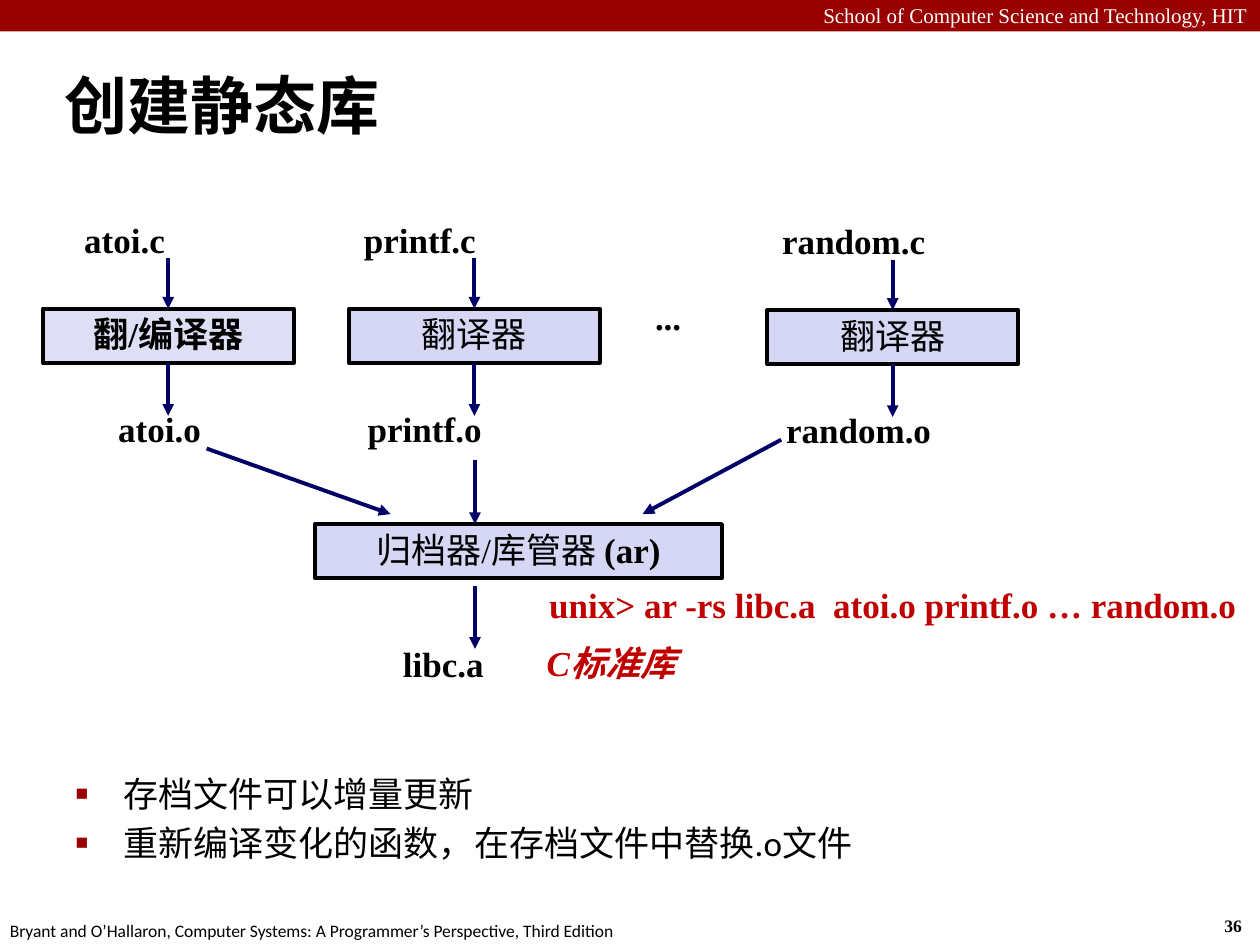
import pptx
import pptx.util
import pptx.dml.color
import pptx.enum.shapes
import pptx.enum.text
import pptx.oxml.ns
import lxml.etree

Inches = pptx.util.Inches
Pt = pptx.util.Pt
RGBColor = pptx.dml.color.RGBColor
Align = pptx.enum.text.PP_ALIGN
Anchor = pptx.enum.text.MSO_ANCHOR
AutoSize = pptx.enum.text.MSO_AUTO_SIZE
RECTANGLE = pptx.enum.shapes.MSO_SHAPE.RECTANGLE
STRAIGHT = pptx.enum.shapes.MSO_CONNECTOR.STRAIGHT
qn = pptx.oxml.ns.qn

BLACK = RGBColor(0x00, 0x00, 0x00)
WHITE = RGBColor(0xFF, 0xFF, 0xFF)
BANNER_RED = RGBColor(0x99, 0x00, 0x00)
COMMAND_RED = RGBColor(0xC0, 0x00, 0x00)
ARROW_NAVY = RGBColor(0x00, 0x00, 0x66)
LAVENDER = RGBColor(0xD6, 0xD6, 0xF5)
PALE_LAVENDER = RGBColor(0xDE, 0xDF, 0xF5)
SERIF = "Times New Roman"

deck = pptx.Presentation()
deck.slide_width = Inches(10)
deck.slide_height = Inches(7.5)
page = deck.slides.add_slide(deck.slide_layouts[1])


def add_box(place, runs, size=20, color=BLACK, font=SERIF, fill=None, wrap=False,
            align=Align.LEFT, spacing=0.94, italic=False):
    lengths = [Inches(value) for value in place]
    if fill is None:
        box = page.shapes.add_textbox(*lengths)
    else:
        box = page.shapes.add_shape(RECTANGLE, *lengths)
        box.shadow.inherit = False
        box.fill.solid()
        box.fill.fore_color.rgb = fill
        box.line.color.rgb = BLACK
        box.line.width = Pt(2.25)
    frame = box.text_frame
    frame.word_wrap = wrap
    frame.auto_size = AutoSize.NONE if wrap else AutoSize.SHAPE_TO_FIT_TEXT
    frame.vertical_anchor = Anchor.TOP
    para = frame.paragraphs[0]
    para.alignment = align
    para.line_spacing = spacing
    for text, bold in runs:
        span = para.add_run()
        span.text = text
        span.font.name = font
        span.font.size = Pt(size)
        span.font.bold = bold
        span.font.italic = italic
        span.font.color.rgb = color
    return box


def add_arrow(start, end, start_box=None, end_box=None):
    arrow = page.shapes.add_connector(STRAIGHT, *[Inches(value) for value in start + end])
    if start_box is not None:
        arrow.begin_connect(start_box, 2)
    if end_box is not None:
        arrow.end_connect(end_box, 0)
    arrow.line.color.rgb = ARROW_NAVY
    arrow.line.width = Pt(2.25)
    outline = arrow.line._get_or_add_ln()
    lxml.etree.SubElement(outline, qn("a:tailEnd"), type="triangle")
    lxml.etree.SubElement(arrow._element.spPr, qn("a:effectLst"))


banner = page.shapes.add_shape(RECTANGLE, 0, 0, Inches(10), Inches(0.25))
banner.shadow.inherit = False
banner.fill.solid()
banner.fill.fore_color.rgb = BANNER_RED
banner.line.fill.background()

add_box((0, -0.03, 10, 0.3), [("School of Computer Science and Technology, HIT", False)],
        size=12, color=WHITE, wrap=True, align=Align.RIGHT, spacing=1.0)
add_box((9.62, 7.21, 0.37, 0.27), [("36", True)], size=10, spacing=1.0)
add_box((-0.02, 7.25, 5.08, 0.27),
        [("Bryant and O’Hallaron, Computer Systems: A Programmer’s Perspective, Third Edition", False)],
        size=10, font="Calibri", spacing=1.0)

title = page.shapes.title
title.left, title.top, title.width, title.height = [Inches(v) for v in (0.41, 0.41, 9.51, 0.83)]
title.text_frame.vertical_anchor = Anchor.MIDDLE
title.text_frame.auto_size = AutoSize.NONE
para = title.text_frame.paragraphs[0]
para.alignment = Align.LEFT
margins = para._p.get_or_add_pPr()
margins.set("marL", str(Inches(0.13)))
margins.set("indent", str(Inches(-0.13)))
span = para.add_run()
span.text = "创建静态库"
span.font.name = "Calibri"
span.font.size = Pt(36)
span.font.bold = True
span.font.color.rgb = BLACK

columns = [
    ("atoi", "翻/编译器", True, PALE_LAVENDER, 0.34, 2.45, 0.57, 0.84, 0.84),
    ("printf", "翻译器", False, LAVENDER, 2.77, 2.45, 2.79, 2.82, 1.09),
    ("random", "翻译器", False, LAVENDER, 6.09, 2.46, 6.11, 6.14, 1.34),
]
for name, label, bold, fill, left, top, source_left, object_left, width in columns:
    translator = add_box((left, top, 1.99, 0.43), [(label, bold)], fill=fill, wrap=True,
                         align=Align.CENTER, spacing=0.98)
    add_box((source_left, top - 0.74, width, 0.42), [(name + ".c", True)])
    add_box((object_left, top + 0.76, width + 0.02, 0.42), [(name + ".o", True)])
    middle = left + 1.99 / 2
    add_arrow((middle, top - 0.4), (middle, top), end_box=translator)
    add_arrow((middle, top + 0.43), (middle, top + 0.85), start_box=translator)

add_box((5.1, 2.31, 0.41, 0.43), [("...", True)], spacing=0.98)

add_box((2.5, 4.16, 3.23, 0.43), [("归档器/库管器 ", False), ("(ar)", True)], fill=LAVENDER,
        wrap=True, align=Align.CENTER, spacing=0.98)
for start, end in [((1.64, 3.56), (3.1, 4.08)), ((3.77, 3.65), (3.77, 4.16)),
                   ((6.2, 3.49), (5.1, 4.08)), ((3.77, 4.65), (3.77, 5.15))]:
    add_arrow(start, end)

add_box((3.1, 5.08, 0.84, 0.42), [("libc.a", True)])
add_box((4.26, 4.61, 5.68, 0.42), [("unix> ar -rs libc.a  atoi.o printf.o … random.o", True)],
        color=COMMAND_RED, wrap=True)
add_box((4.24, 5.06, 2.32, 0.43), [("C标准库", True)], color=COMMAND_RED, wrap=True,
        spacing=0.98, italic=True)

body = page.placeholders[1]
body.left, body.top, body.width, body.height = [Inches(v) for v in (0.5, 6.08, 9.09, 1.17)]
frame = body.text_frame
frame.auto_size = AutoSize.NONE
for index, text in enumerate(["存档文件可以增量更新", "重新编译变化的函数，在存档文件中替换.o文件"]):
    para = frame.add_paragraph() if index else frame.paragraphs[0]
    margins = para._p.get_or_add_pPr()
    margins.set("marL", str(Inches(0.38)))
    margins.set("indent", str(Inches(-0.38)))
    bullet_color = lxml.etree.SubElement(margins, qn("a:buClr"))
    lxml.etree.SubElement(bullet_color, qn("a:srgbClr"), val=str(BANNER_RED))
    lxml.etree.SubElement(margins, qn("a:buSzPct"), val="60000")
    lxml.etree.SubElement(margins, qn("a:buChar"), char="■")
    para.space_before = Pt(4 * index)
    span = para.add_run()
    span.text = text
    span.font.name = "Calibri"
    span.font.size = Pt(20)
    span.font.color.rgb = BLACK

deck.save("out.pptx")
